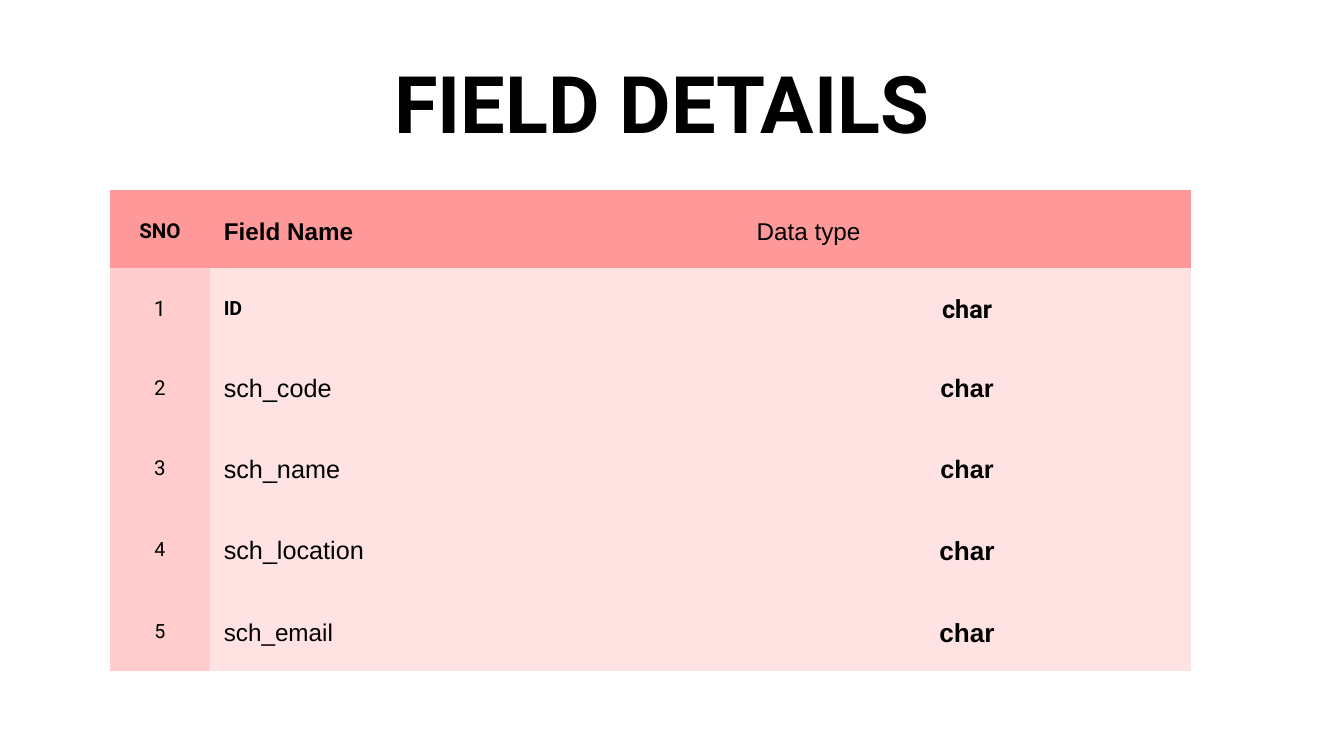
from dataclasses import dataclass

from lxml.etree import SubElement
from pptx import Presentation
from pptx.dml.color import RGBColor
from pptx.enum.text import MSO_ANCHOR, MSO_AUTO_SIZE, PP_ALIGN
from pptx.oxml.ns import qn
from pptx.slide import Slide
from pptx.table import Table, _Cell
from pptx.text.text import _Paragraph
from pptx.util import Inches, Pt


@dataclass(frozen=True)
class Theme:
    heading_font: str = "Roboto"
    body_font: str = "Arial"
    text: str = "000000"
    header: str = "FF9999"
    number_column: str = "FFCDCD"
    body: str = "FFE3E3"
    title_size: int = 85
    label_size: int = 22
    field_size: int = 27
    line_ratio: float = 1.4


@dataclass(frozen=True)
class Entry:
    text: str
    size: int
    font: str
    bold: bool = False
    centered: bool = False


THEME = Theme()


def number(text: str, size: int = THEME.label_size) -> Entry:
    return Entry(text, size, THEME.heading_font, centered=True)


def field(text: str, size: int = THEME.field_size) -> Entry:
    return Entry(text, size, THEME.body_font)


def data_type(size: int = THEME.field_size, font: str = THEME.body_font) -> Entry:
    return Entry("char", size, font, bold=True, centered=True)


TITLE = Entry("FIELD DETAILS ", THEME.title_size, THEME.heading_font, bold=True, centered=True)
COLUMN_WIDTHS = (1.48, 7.93, 6.68)
ROW_HEIGHTS = (1.17, 1.15, 1.2, 1.2, 1.22, 1.22)
ROWS = (
    (
        Entry("SNO", THEME.label_size, THEME.heading_font, bold=True, centered=True),
        Entry("Field Name", 26, THEME.body_font, bold=True),
        field("Data type", 26),
    ),
    (
        number("1", 23),
        Entry("ID", 21, THEME.heading_font, bold=True),
        data_type(font=THEME.heading_font),
    ),
    (number("2"), field("sch_code"), data_type()),
    (number("3"), field("sch_name"), data_type()),
    (number("4", 21), field("sch_location"), data_type(28)),
    (number("5", 21), field("sch_email", 26), data_type(28)),
)


def apply_format(target: object, values: dict[str, object]) -> None:
    for name, value in values.items():
        setattr(target, name, value)


def write_entry(paragraph: _Paragraph, entry: Entry) -> None:
    apply_format(paragraph, {
        "alignment": PP_ALIGN.CENTER if entry.centered else PP_ALIGN.LEFT,
        "line_spacing": Pt(entry.size * THEME.line_ratio),
        "space_before": Pt(0),
    })
    run = paragraph.add_run()
    run.text = entry.text
    apply_format(run.font, {"name": entry.font, "size": Pt(entry.size), "bold": entry.bold})
    run.font.color.rgb = RGBColor.from_string(THEME.text)


def hide_borders(cell: _Cell) -> None:
    properties = cell._tc.get_or_add_tcPr()
    for side in ("lnL", "lnR", "lnT", "lnB"):
        line = SubElement(properties, qn(f"a:{side}"), w="0")
        fill = SubElement(line, qn("a:solidFill"))
        SubElement(fill, qn("a:srgbClr"), val=THEME.header)


def cell_color(row: int, column: int) -> str:
    if row == 0:
        return THEME.header
    return THEME.number_column if column == 0 else THEME.body


def fill_cell(cell: _Cell, entry: Entry, color: str) -> None:
    margins = ("margin_left", "margin_top", "margin_right", "margin_bottom")
    apply_format(cell, dict.fromkeys(margins, Inches(0.21)))
    cell.vertical_anchor = MSO_ANCHOR.MIDDLE
    hide_borders(cell)
    cell.fill.solid()
    cell.fill.fore_color.rgb = RGBColor.from_string(color)
    write_entry(cell.text_frame.paragraphs[0], entry)


def add_title(slide: Slide) -> None:
    title = slide.shapes.title
    apply_format(title, {
        "left": Inches(5.79),
        "top": Inches(0.57),
        "width": Inches(8.41),
        "height": Inches(1.59),
    })
    apply_format(title.text_frame, {
        "margin_left": 0,
        "margin_top": 0,
        "margin_right": 0,
        "margin_bottom": 0,
        "word_wrap": True,
        "vertical_anchor": MSO_ANCHOR.TOP,
        "auto_size": MSO_AUTO_SIZE.SHAPE_TO_FIT_TEXT,
    })
    write_entry(title.text_frame.paragraphs[0], TITLE)


def add_field_table(slide: Slide) -> Table:
    table = slide.shapes.add_table(
        len(ROWS), len(COLUMN_WIDTHS), Inches(1.64), Inches(2.82),
        Inches(sum(COLUMN_WIDTHS)), Inches(sum(ROW_HEIGHTS)),
    ).table
    apply_format(table, {"first_row": False, "horz_banding": False})
    for column, width in zip(table.columns, COLUMN_WIDTHS):
        column.width = Inches(width)
    for row, height in zip(table.rows, ROW_HEIGHTS):
        row.height = Inches(height)
    for row_index, entries in enumerate(ROWS):
        for column_index, entry in enumerate(entries):
            color = cell_color(row_index, column_index)
            fill_cell(table.cell(row_index, column_index), entry, color)
    return table


def main() -> None:
    presentation = Presentation()
    apply_format(presentation, {"slide_width": Inches(20), "slide_height": Inches(11.25)})
    slide = presentation.slides.add_slide(presentation.slide_layouts[5])
    add_title(slide)
    add_field_table(slide)
    presentation.save("out.pptx")


if __name__ == "__main__":
    main()
